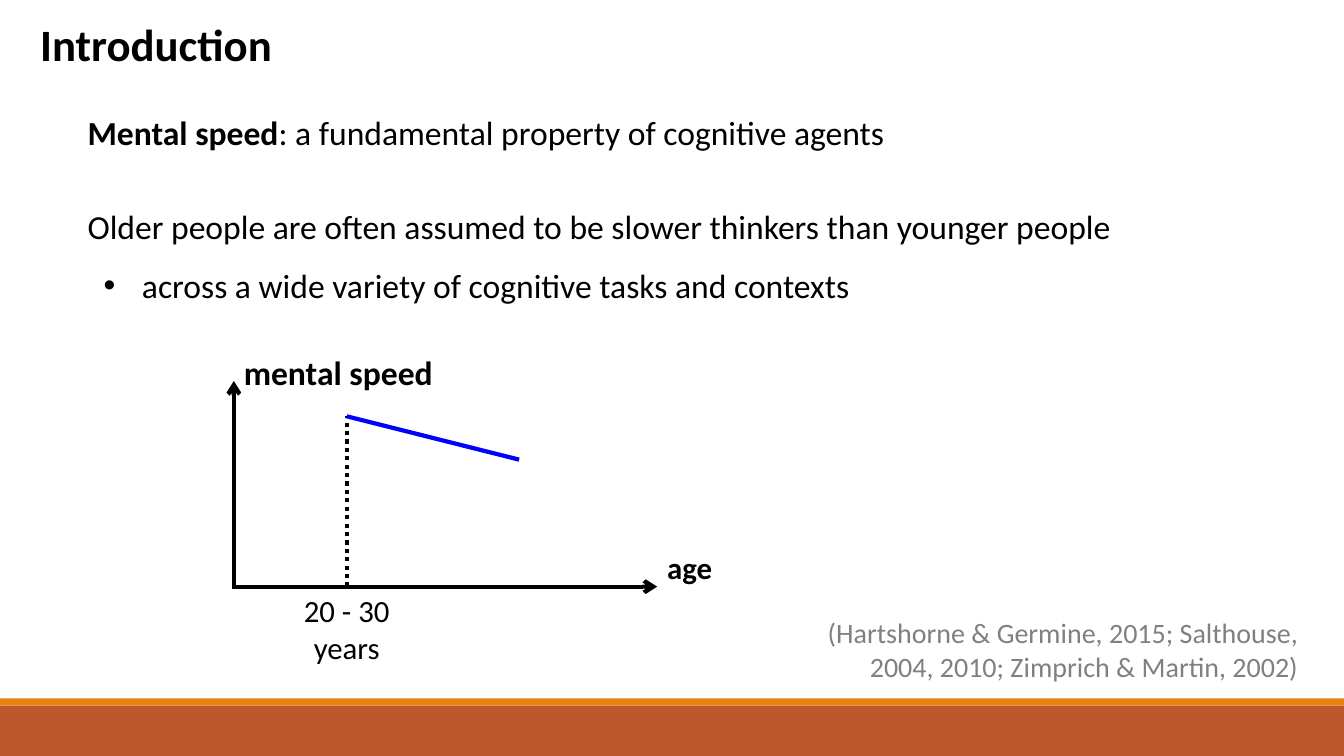
from lxml import etree
from pptx import Presentation, util as u
from pptx.dml.color import RGBColor
from pptx.enum import dml, shapes, text
from pptx.oxml.ns import qn

COLUMNS, ROWS = 133.33, 75
CELL = u.Inches(0.1)
COLORS = {"black": "000000", "gray": "808080", "blue": "0000FF",
          "orange": "E48312", "rust": "BD582C"}
LEFT, CENTER, RIGHT = text.PP_ALIGN.LEFT, text.PP_ALIGN.CENTER, text.PP_ALIGN.RIGHT

BANDS = [(70, 5, "rust"), (69.3, 0.7, "orange")]

MARGIN, BODY_WIDTH = 7.7, 120.5
ORIGIN_X, ORIGIN_Y = 23.2, 58.2
AXIS_END_X, AXIS_TOP_Y = 65.2, 37.8
PEAK_X, PEAK_Y = 34.4, 41.3
DECLINE_X, DECLINE_Y = 51.5, 45.6

BOXES = [
    {"at": (3, 1.2, 25.3, 6.4), "size": 32, "wrap": False,
     "lines": [[("Introduction", True)]]},
    {"at": (MARGIN, 10.6, BODY_WIDTH, 5), "size": 24,
     "lines": [[("Mental speed", True),
                (": a fundamental property of cognitive agents", False)]]},
    {"at": (75.5, 60.6, 54.3, 7.7), "size": 20, "color": "gray", "align": RIGHT,
     "lines": [[("(Hartshorne & Germine, 2015; Salthouse, 2004, 2010; "
                 "Zimprich & Martin, 2002)", False)]]},
    {"at": (MARGIN, 19.9, BODY_WIDTH, 5), "size": 24,
     "lines": [[("Older people are often assumed to be slower thinkers "
                 "than younger people", False)]]},
    {"at": (9.3, 25.8, BODY_WIDTH, 5), "size": 24, "bullet": True,
     "lines": [[("across a wide variety of cognitive tasks and contexts", False)]]},
    {"at": (AXIS_END_X, 53.9, 6.6, 4.7), "size": 22, "wrap": False,
     "lines": [[("age", True)]]},
    {"at": (ORIGIN_X, 34.4, 21, 5), "size": 24, "wrap": False,
     "lines": [[("mental speed", True)]]},
    {"at": (29.1, ORIGIN_Y, 10.6, 8.4), "size": 22, "wrap": False, "align": CENTER,
     "lines": [[("20 - 30", False)], [("years", False)]]},
]

LINES = [
    {"ends": (ORIGIN_X, ORIGIN_Y + 0.2, ORIGIN_X, AXIS_TOP_Y), "arrow": True},
    {"ends": (ORIGIN_X, ORIGIN_Y, AXIS_END_X, ORIGIN_Y), "arrow": True},
    {"ends": (PEAK_X, ORIGIN_Y, PEAK_X, PEAK_Y), "dotted": True},
    {"ends": (PEAK_X, PEAK_Y, DECLINE_X, DECLINE_Y), "color": "blue"},
]


def cells(*counts):
    return [round(count * CELL) for count in counts]


def rgb(name):
    return RGBColor.from_string(COLORS[name])


def add_band(slide, top, height, color):
    shape = slide.shapes.add_shape(shapes.MSO_SHAPE.RECTANGLE,
                                   *cells(0, top, COLUMNS, height))
    shape.shadow.inherit = False
    shape.fill.solid()
    shape.fill.fore_color.rgb = rgb(color)
    shape.line.fill.background()


def add_bullet(paragraph):
    properties = paragraph._p.get_or_add_pPr()
    indent = u.Inches(0.38)
    properties.set("marL", str(indent))
    properties.set("indent", str(-indent))
    etree.SubElement(properties, qn("a:buFont")).set("typeface", "Arial")
    etree.SubElement(properties, qn("a:buChar")).set("char", "•")


def add_text(slide, at, size, lines, color="black", align=LEFT, wrap=True, bullet=False):
    frame = slide.shapes.add_textbox(*cells(*at)).text_frame
    frame.word_wrap = wrap
    frame.auto_size = text.MSO_AUTO_SIZE.SHAPE_TO_FIT_TEXT
    for index, runs in enumerate(lines):
        paragraph = frame.add_paragraph() if index else frame.paragraphs[0]
        paragraph.alignment = align
        if bullet:
            add_bullet(paragraph)
        for words, bold in runs:
            run = paragraph.add_run()
            run.text = words
            run.font.name = "Calibri"
            run.font.size = u.Pt(size)
            run.font.bold = bold
            run.font.color.rgb = rgb(color)


def add_line(slide, ends, color="black", arrow=False, dotted=False):
    connector = slide.shapes.add_connector(shapes.MSO_CONNECTOR.STRAIGHT, *cells(*ends))
    connector.line.color.rgb = rgb(color)
    connector.line.width = u.Pt(3)
    if dotted:
        connector.line.dash_style = dml.MSO_LINE.ROUND_DOT
    if arrow:
        outline = connector.line._get_or_add_ln()
        etree.SubElement(outline, qn("a:tailEnd")).set("type", "arrow")
    etree.SubElement(connector._element.spPr, qn("a:effectLst"))


def main():
    presentation = Presentation()
    presentation.slide_width, presentation.slide_height = cells(COLUMNS, ROWS)
    slide = presentation.slides.add_slide(presentation.slide_layouts[6])
    for band in BANDS:
        add_band(slide, *band)
    for line in LINES:
        add_line(slide, **line)
    for box in BOXES:
        add_text(slide, **box)
    presentation.save("out.pptx")


if __name__ == "__main__":
    main()
